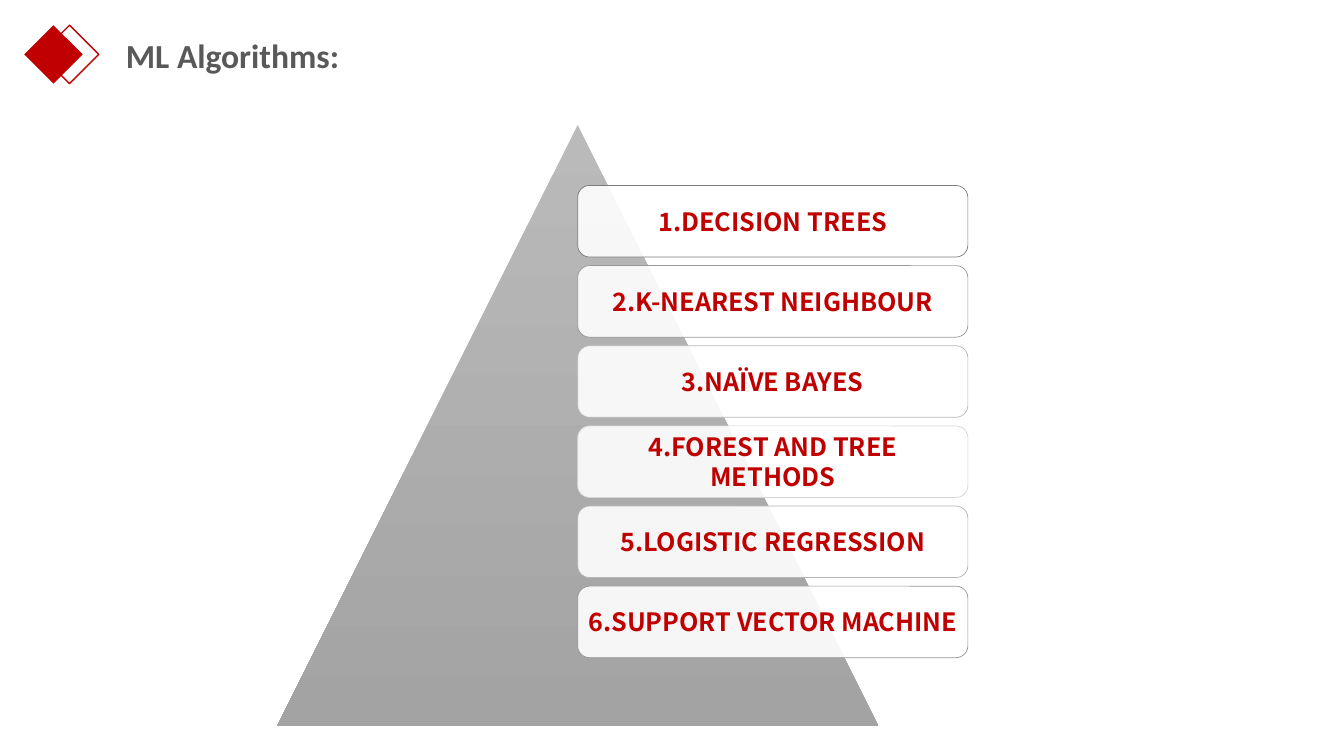
from typing import NamedTuple

from lxml import etree
from pptx import Presentation, util as u
from pptx.dml.color import RGBColor
from pptx.enum import shapes, text
from pptx.oxml.ns import qn

WIDE, HIGH = 13.33, 7.5
RED, GREY, WHITE = "C00000", "595959", "FFFFFF"
FIRST, PITCH = 1.84, 0.795
KIND = shapes.MSO_SHAPE


class Box(NamedTuple):
    """Place and size in inches."""
    left: float
    top: float
    width: float
    height: float


class Step(NamedTuple):
    """One labelled card with its outline colour."""
    label: str
    edge: str


STEPS = [
    Step("1.DECISION TREES", "7A7A7A"),
    Step("2.K-NEAREST NEIGHBOUR", "999999"),
    Step("3.NAÏVE BAYES", "B7B7B7"),
    Step("4.FOREST AND TREE METHODS", "D6D6D6"),
    Step("5.LOGISTIC REGRESSION", "B5B5B5"),
    Step("6.SUPPORT VECTOR MACHINE", "969696"),
]


def paint(color, tint: str) -> None:
    """Set a colour from a hex string."""
    color.rgb = RGBColor.from_string(tint)


def place(box: Box) -> list:
    """Turn a box into lengths for python-pptx."""
    return [u.Inches(side) for side in box]


def draw(home, kind, box: Box, fill: str = "", edge: str = "", width: float = 1):
    """Add a preset shape with an optional fill and outline."""
    shape = home.add_shape(kind, *place(box))
    shape.shadow.inherit = False
    if fill:
        shape.fill.solid()
        paint(shape.fill.fore_color, fill)
    else:
        shape.fill.background()
    if edge:
        paint(shape.line.color, edge)
        shape.line.width = u.Pt(width)
    else:
        shape.line.fill.background()
    return shape


def write(shape, words: str, face: str, size: int, tint: str, align) -> None:
    """Put one bold line of text in a shape."""
    frame = shape.text_frame
    frame.text = words
    frame.word_wrap = True
    frame.vertical_anchor = text.MSO_ANCHOR.MIDDLE
    line = frame.paragraphs[0]
    line.alignment = align
    font = line.runs[0].font
    font.name, font.size, font.bold = face, u.Pt(size), True
    paint(font.color, tint)


def card(home, row: int, step: Step) -> None:
    """Draw one card of the list at its row."""
    box = Box(5.73, FIRST + row * PITCH, 3.87, 0.71)
    shape = draw(home, KIND.ROUNDED_RECTANGLE, box, WHITE, step.edge, 0.5)
    tone = shape.fill._xPr.find(qn("a:solidFill"))[0]
    etree.SubElement(tone, qn("a:alpha")).set("val", "90000")
    write(shape, step.label, "Noto Sans CJK TC", 18, RED, text.PP_ALIGN.CENTER)
    frame = shape.text_frame
    frame.margin_left = frame.margin_right = u.Inches(0.04)
    frame.margin_top = frame.margin_bottom = u.Inches(0.04)


def main() -> None:
    """Build the slide and save it."""
    deck = Presentation()
    deck.slide_width, deck.slide_height = u.Inches(WIDE), u.Inches(HIGH)
    slide = deck.slides.add_slide(deck.slide_layouts[6])

    mark = slide.shapes.add_group_shape().shapes
    draw(mark, KIND.DIAMOND, Box(0.24, 0.25, 0.58, 0.58), fill=RED)
    draw(mark, KIND.DIAMOND, Box(0.4, 0.25, 0.58, 0.58), edge=RED)

    title = slide.shapes.add_textbox(*place(Box(1.15, 0.32, 8.67, 0.45)))
    write(title, "ML Algorithms:", "Calibri", 24, GREY, text.PP_ALIGN.LEFT)

    chart = slide.shapes.add_group_shape().shapes
    peak = draw(chart, KIND.ISOSCELES_TRIANGLE, Box(2.75, 1.24, 5.96, 5.96))
    peak.fill.gradient()
    peak.fill.gradient_angle = 270
    for stop, tint in zip(peak.fill.gradient_stops, ("BABABA", "A3A3A3")):
        paint(stop.color, tint)
    for row, step in enumerate(STEPS):
        card(chart, row, step)

    deck.save("out.pptx")


if __name__ == "__main__":
    main()
